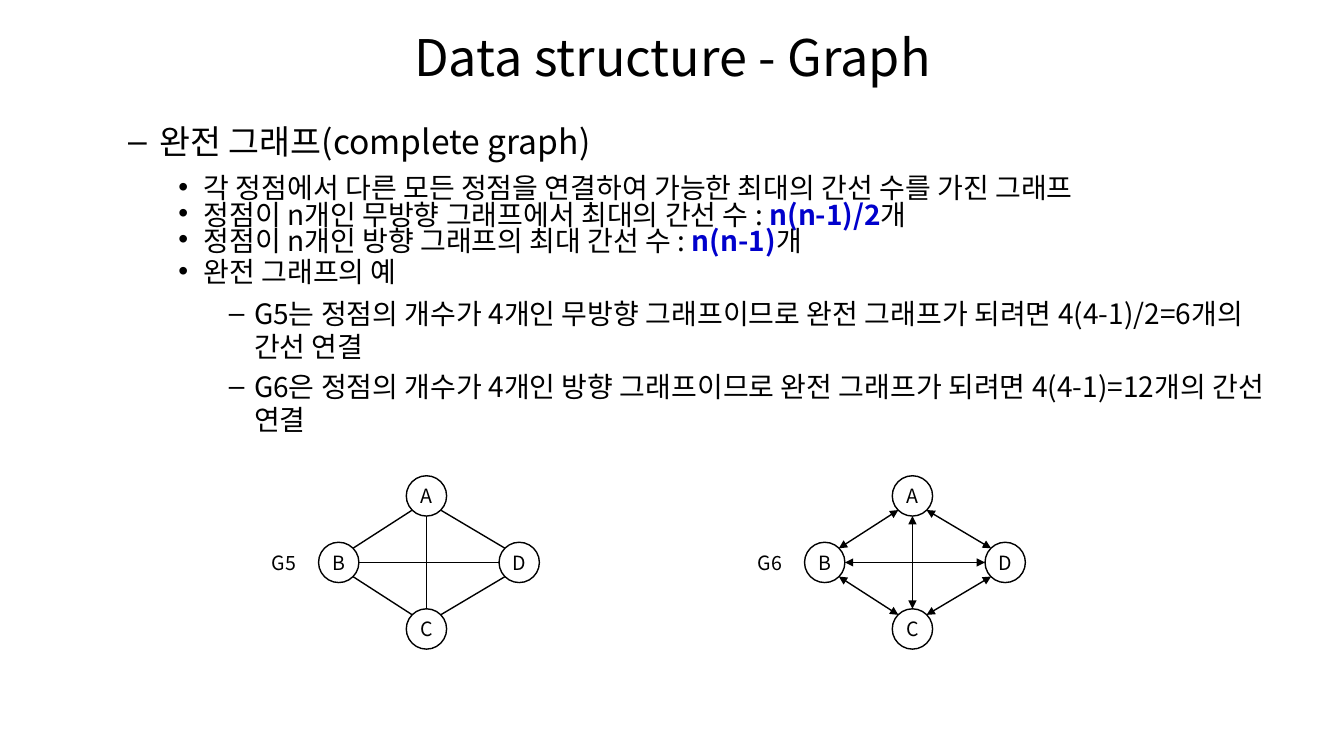
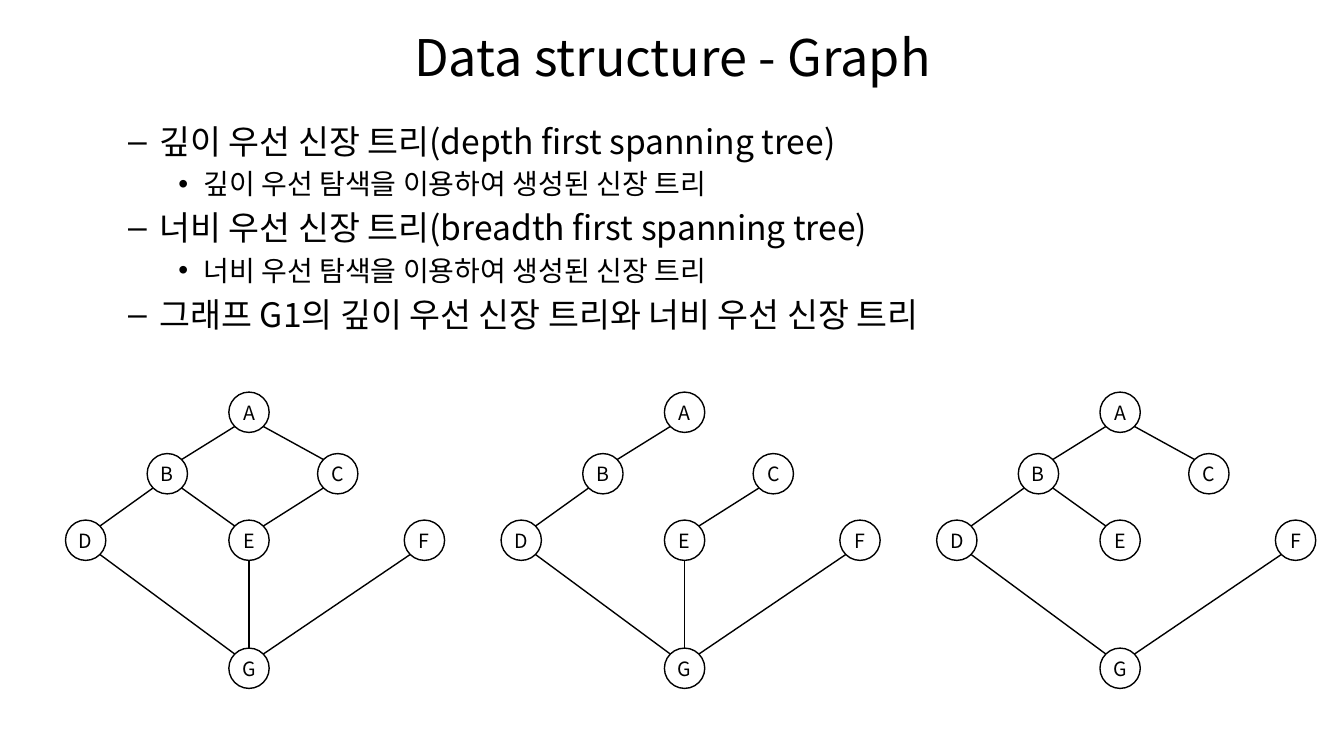
import pptx
import pptx.dml.color
import pptx.enum.shapes
import pptx.enum.text
import pptx.oxml
import pptx.oxml.ns
import pptx.util

Inches = pptx.util.Inches
Pt = pptx.util.Pt
MSO = pptx.enum.text.MSO_ANCHOR
ALIGN = pptx.enum.text.PP_ALIGN

COLORS = {"ink": "000000", "node": "FFFFFF", "formula": "0000CC"}
FONT = "Noto Sans CJK KR"
TITLE = "Data structure - Graph"
TITLE_BOX = (0.67, 0.13, 12, 0.85)
BODY_BOX = (0.67, 1.15, 12, 5.67)
BODY_SIZES = {1: 24, 2: 20, 3: 20}
NODE = 0.4
DIAGONAL = 0.14
NODE_FRAME = dict(margin_left=0, margin_right=0, margin_top=0, margin_bottom=0,
                  word_wrap=False, vertical_anchor=MSO.MIDDLE)

COMPLETE_TEXT = [
    (1, {}, ["완전 그래프(complete graph)"]),
    (2, {"line_spacing": 1.1},
     ["각 정점에서 다른 모든 정점을 연결하여 가능한 최대의 간선 수를 가진 그래프"]),
    (2, {"line_spacing": 0.6},
     ["정점이 n개인 무방향 그래프에서 최대의 간선 수 : ", "n(n-1)/2", "개"]),
    (2, {"line_spacing": 0.6},
     ["정점이 n개인 방향 그래프의 최대 간선 수 : ", "n(n-1)", "개"]),
    (2, {"line_spacing": 0.8, "space_after": Pt(2)}, ["완전 그래프의 예"]),
    (3, {}, ["G5는 정점의 개수가 4개인 무방향 그래프이므로 완전 그래프가 되려면 4(4-1)/2=6개의 간선 연결"]),
    (3, {}, ["G6은 정점의 개수가 4개인 방향 그래프이므로 완전 그래프가 되려면 4(4-1)=12개의 간선 연결"]),
]
TREE_TEXT = [
    (1, {}, ["깊이 우선 신장 트리(depth first spanning tree)"]),
    (2, {}, ["깊이 우선 탐색을 이용하여 생성된 신장 트리"]),
    (1, {}, ["너비 우선 신장 트리(breadth first spanning tree)"]),
    (2, {}, ["너비 우선 탐색을 이용하여 생성된 신장 트리"]),
    (1, {}, ["그래프 G1의 깊이 우선 신장 트리와 너비 우선 신장 트리"]),
]

COMPLETE_NODES = {"A": (0.87, 0), "B": (0, 0.66), "C": (0.87, 1.32), "D": (1.79, 0.66)}
COMPLETE_EDGES = "AB AD BD BC CD AC"
TREE_NODES = {"A": (1.62, 0), "B": (0.81, 0.61), "C": (2.5, 0.61), "D": (0, 1.27),
              "E": (1.62, 1.27), "F": (3.36, 1.27), "G": (1.62, 2.54)}
TREE_EDGES = ["AB AC BD BE CE DG EG FG", "AB BD CE DG EG FG", "AB AC BD BE DG FG"]


def rgb(name):
    return pptx.dml.color.RGBColor.from_string(COLORS[name])


def set_all(obj, values):
    for name, value in values.items():
        setattr(obj, name, value)


def add_run(p, text, size, color="ink", bold=False):
    r = p.add_run()
    r.text = text
    set_all(r.font, dict(size=Pt(size), name=FONT, bold=bold))
    r.font.color.rgb = rgb(color)
    ea = pptx.oxml.parse_xml(f'<a:ea {pptx.oxml.ns.nsdecls("a")} typeface="{FONT}"/>')
    r.font._element.find(pptx.oxml.ns.qn("a:latin")).addnext(ea)


def place(sp, box):
    set_all(sp, dict(zip(("left", "top", "width", "height"), map(Inches, box))))


def add_text_slide(prs, paragraphs):
    s = prs.slides.add_slide(prs.slide_layouts[1])
    title, body = s.placeholders
    place(title, TITLE_BOX)
    place(body, BODY_BOX)
    for sp in (title, body):
        sp.text_frame.auto_size = pptx.enum.text.MSO_AUTO_SIZE.NONE
    add_run(title.text_frame.paragraphs[0], TITLE, 36)
    tf = body.text_frame
    for i, (level, values, texts) in enumerate(paragraphs):
        p = tf.add_paragraph() if i else tf.paragraphs[0]
        set_all(p, dict(values, level=level))
        for j, text in enumerate(texts):
            formula = j == 1
            add_run(p, text, BODY_SIZES[level], "formula" if formula else "ink", formula)
    return s


def add_node(s, x, y, name):
    sp = s.shapes.add_shape(pptx.enum.shapes.MSO_SHAPE.OVAL,
                            *map(Inches, (x, y, NODE, NODE)))
    sp.shadow.inherit = False
    sp.fill.solid()
    sp.fill.fore_color.rgb = rgb("node")
    sp.line.color.rgb = rgb("ink")
    sp.line.width = Pt(1)
    set_all(sp.text_frame, NODE_FRAME)
    p = sp.text_frame.paragraphs[0]
    p.alignment = ALIGN.CENTER
    add_run(p, name, 14)


def sign(value):
    return (value > 0) - (value < 0)


def add_edge(s, start, end, arrows):
    dx, dy = (sign(b - a) for a, b in zip(start, end))
    reach = DIAGONAL if dx and dy else NODE / 2
    x1, y1 = start[0] + dx * reach, start[1] + dy * reach
    x2, y2 = end[0] - dx * reach, end[1] - dy * reach
    c = s.shapes.add_connector(pptx.enum.shapes.MSO_CONNECTOR.STRAIGHT,
                               *map(Inches, (x1, y1, x2, y2)))
    c.line.color.rgb = rgb("ink")
    c.line.width = Pt(1)
    ns = pptx.oxml.ns.nsdecls("a")
    if arrows:
        for tag in ("headEnd", "tailEnd"):
            c.line._ln.append(pptx.oxml.parse_xml(f'<a:{tag} {ns} type="triangle"/>'))
    c._element.spPr.append(pptx.oxml.parse_xml(f"<a:effectLst {ns}/>"))


def add_graph(s, left, top, nodes, edges, arrows=False):
    centers = {}
    for name, (dx, dy) in nodes.items():
        add_node(s, left + dx, top + dy, name)
        centers[name] = (left + dx + NODE / 2, top + dy + NODE / 2)
    for a, b in edges.split():
        add_edge(s, centers[a], centers[b], arrows)


def add_complete_graph(s, left, top, label, arrows):
    add_graph(s, left, top, COMPLETE_NODES, COMPLETE_EDGES, arrows)
    tb = s.shapes.add_textbox(*map(Inches, (left - 0.65, top + 0.69, 0.61, 0.34)))
    set_all(tb.text_frame, dict(word_wrap=True, vertical_anchor=MSO.MIDDLE))
    p = tb.text_frame.paragraphs[0]
    p.alignment = ALIGN.CENTER
    add_run(p, label, 14)


def build_complete_slide(prs):
    s = add_text_slide(prs, COMPLETE_TEXT)
    add_complete_graph(s, 3.16, 4.72, "G5", False)
    add_complete_graph(s, 7.98, 4.72, "G6", True)


def build_tree_slide(prs):
    s = add_text_slide(prs, TREE_TEXT)
    for i, edges in enumerate(TREE_EDGES):
        add_graph(s, 0.65 + i * 4.32, 3.89, TREE_NODES, edges)


def main():
    prs = pptx.Presentation()
    set_all(prs, dict(slide_width=Inches(13.33), slide_height=Inches(7.5)))
    build_complete_slide(prs)
    build_tree_slide(prs)
    prs.save("out.pptx")


if __name__ == "__main__":
    main()
